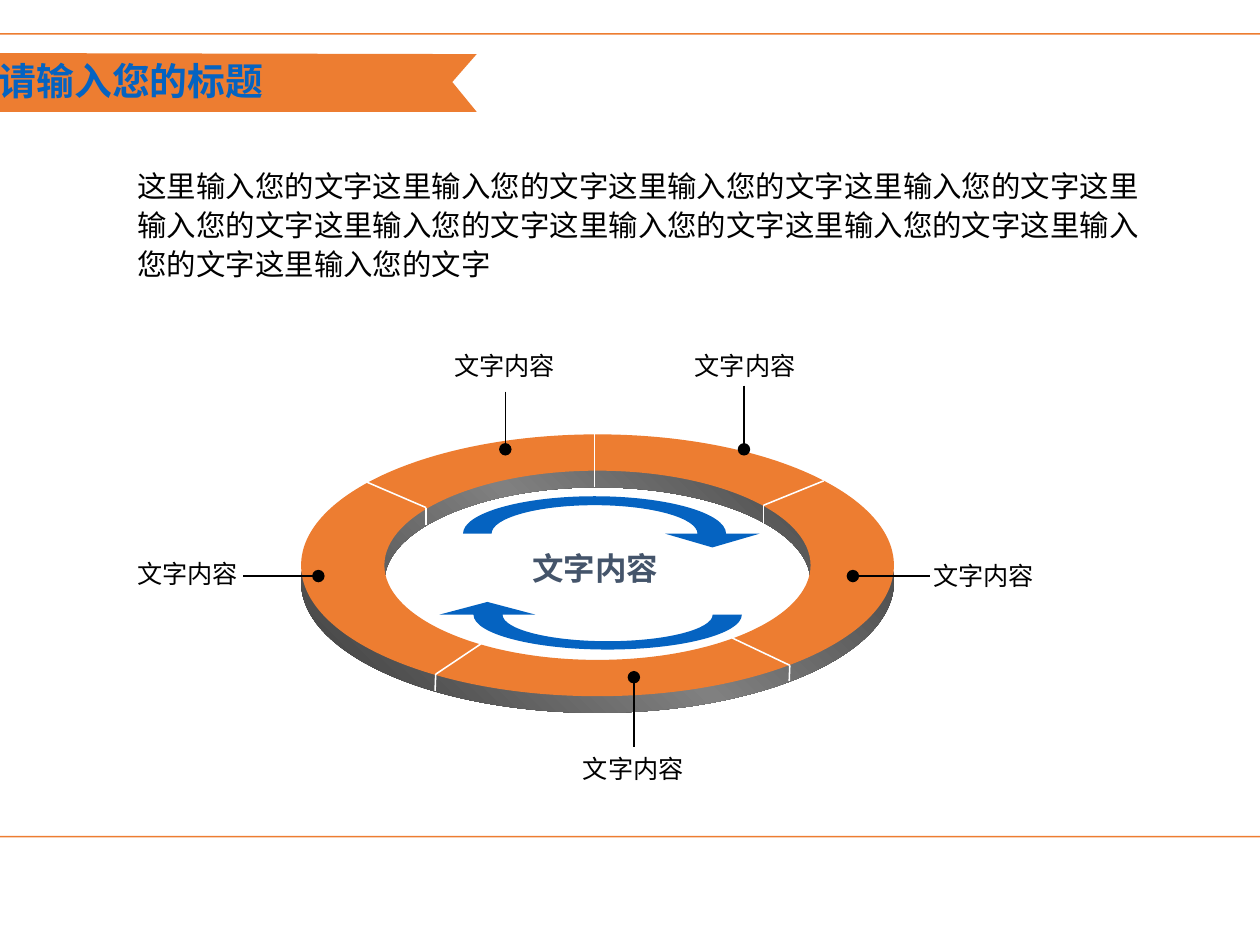
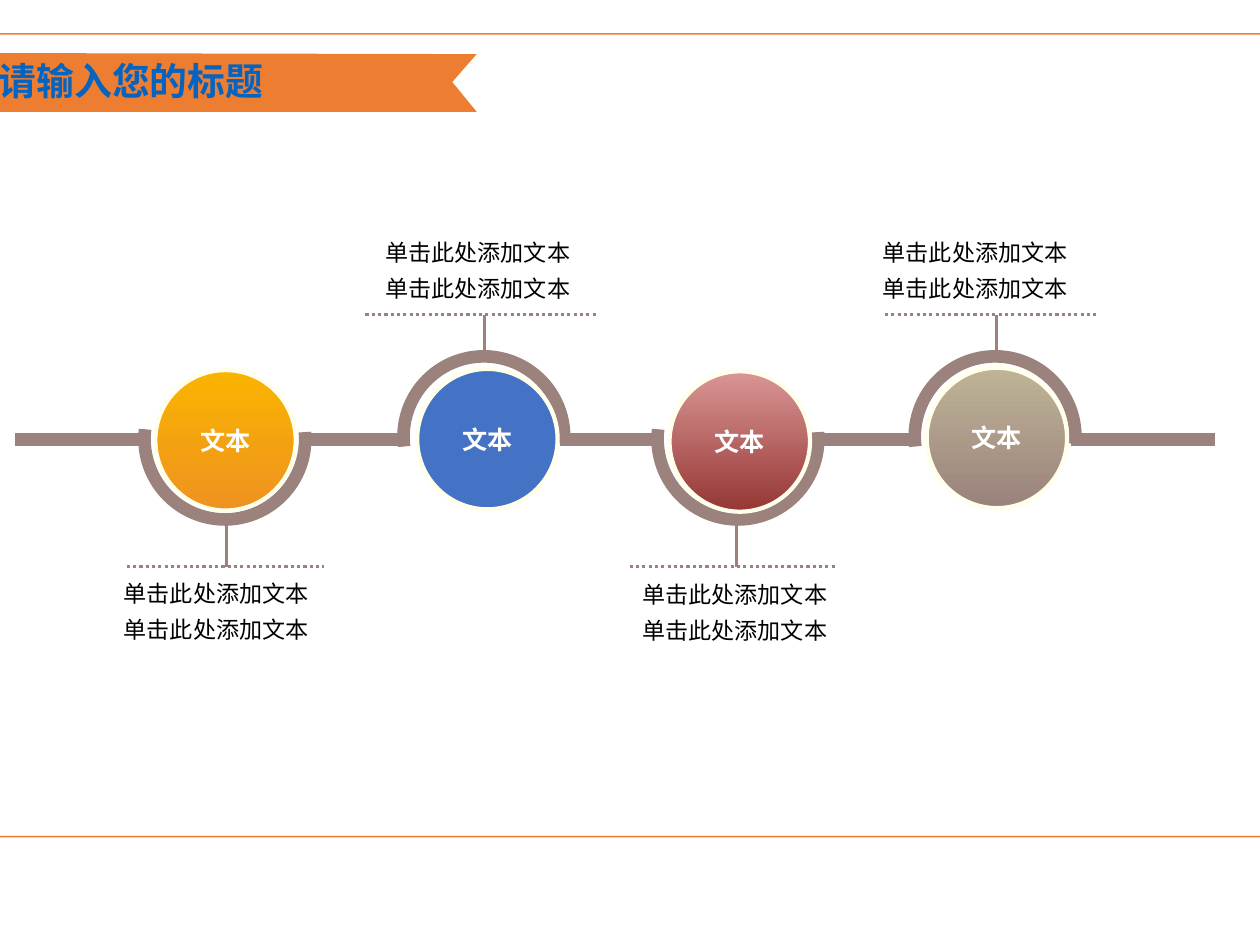
import math
from copy import deepcopy
from itertools import pairwise
from lxml import etree
from pptx import Presentation
from pptx.dml.color import RGBColor
from pptx.enum import dml, shapes, text
from pptx.oxml.ns import qn
from pptx.util import Cm, Pt

SANS = "Noto Sans CJK SC"
ORANGE, BLUE, TAUPE, WHITE, BLACK = "ED7D31", "0563C1", "9B827D", "FFFFFF", "000000"
LEFT, MID, RIGHT = text.PP_ALIGN.LEFT, text.PP_ALIGN.CENTER, text.PP_ALIGN.RIGHT

TITLE = "请输入您的标题"
BODY = "这里输入您的文字" * 10
LABEL = "文字内容"
NOTE = ["单击此处添加文本"] * 2
DISC = "文本"

RIBBON = [(-1.24, 1.88), (8.01, 1.88), (7.6, 1.38), (8.01, 0.91), (-1.22, 0.89)]
STEEL = ["3B3B3B", "808080", "3B3B3B"]
RINGS = [(9.78, STEEL), (9.5, ORANGE)]
SEAMS = [
    [(9.99, 7.27), (9.99, 8.19)],
    [(6.16, 8.1), (7.16, 8.53), (7.16, 8.82)],
    [(13.84, 8.08), (12.83, 8.49), (12.83, 8.82)],
    [(8.08, 10.82), (7.32, 11.33), (7.31, 11.61)],
    [(12.3, 10.72), (13.27, 11.18), (13.26, 11.44)],
]
CALLS = [
    ((8.49, 6.58), (8.49, 7.55), (6.64, 5.78), MID),
    ((12.5, 6.48), (12.5, 7.55), (10.68, 5.78), MID),
    ((10.65, 12.55), (10.65, 11.38), (8.8, 12.56), MID),
    ((15.62, 9.68), (14.33, 9.68), (15.48, 9.31), LEFT),
    ((4.09, 9.68), (5.35, 9.68), (0.52, 9.28), RIGHT),
]
SWEEPS = [((9.99, 8.97), 1, 1), ((10.21, 10.33), -1.02, -0.93)]

STEPS = [
    dict(up=False, arc=3.78, stem=3.81, disc=(3.79, 7.4), rule=(2.13, 5.44),
         note=(1.88, 9.5), fill=["FAB400", "EE9320"]),
    dict(up=True, arc=8.13, stem=8.14, disc=(8.19, 7.38), rule=(6.14, 10.02),
         note=(6.27, 3.76), fill="4472C4"),
    dict(up=False, arc=12.4, stem=12.37, disc=(12.43, 7.42), rule=(10.58, 14.07),
         note=(10.59, 9.51), fill=["D99694", "953735"]),
    dict(up=True, arc=16.72, stem=16.74, disc=(16.75, 7.36), rule=(14.87, 18.44),
         note=(14.63, 3.76), fill=["BEB496", TAUPE]),
]
AXIS = 7.39


def color(code):
    return RGBColor.from_string(code)


def paint(item, fill=None, line=None, width=0.75, angle=270):
    item.shadow.inherit = False
    if isinstance(fill, list):
        item.fill.gradient()
        item.fill.gradient_angle = angle
        stops = item.element.spPr.find(".//" + qn("a:gsLst"))
        for _ in fill[2:]:
            stops.append(deepcopy(stops[-1]))
        for i, (stop, code) in enumerate(zip(item.fill.gradient_stops, fill)):
            stop.color.rgb = color(code)
            stop.position = i / (len(fill) - 1)
    elif fill:
        item.fill.solid()
        item.fill.fore_color.rgb = color(fill)
    else:
        item.fill.background()
    if line:
        item.line.color.rgb = color(line)
        item.line.width = Pt(width)
    else:
        item.line.fill.background()
    return item


def shape(slide, kind, box, **style):
    return paint(slide.shapes.add_shape(kind, *map(Cm, box)), **style)


def is_bend(part):
    return isinstance(part[0], tuple)


def outline(slide, rings, **style):
    pen = None
    for ring in rings:
        flat = [p for part in ring for p in (part if is_bend(part) else [part])]
        pts = [(Cm(x), Cm(y)) for x, y in flat]
        if pen is None:
            pen = slide.shapes.build_freeform(*pts[0], scale=1.0)
        else:
            pen.move_to(*pts[0])
        pen.add_line_segments(pts[1:], close=True)
    item = pen.convert_to_shape()
    legs = iter(list(item.element.iter(qn("a:lnTo"))))
    for part in (p for ring in rings for p in ring[1:]):
        leg = next(legs)
        if is_bend(part):
            leg.addprevious(cubic := etree.Element(qn("a:cubicBezTo")))
            for old in (leg, next(legs), next(legs)):
                cubic.append(old[0])
                old.getparent().remove(old)
    return paint(item, **style)


def bend(mid, rx, ry, *turns):
    def spot(c, s):
        return mid[0] + rx * c, mid[1] + ry * s

    angles = [math.radians(t) for t in turns]
    parts = [spot(math.cos(angles[0]), math.sin(angles[0]))]
    for a, b in pairwise(angles):
        k = 4 / 3 * math.tan((b - a) / 4)
        ca, sa, cb, sb = math.cos(a), math.sin(a), math.cos(b), math.sin(b)
        parts.append((spot(ca - k * sa, sa + k * ca),
                      spot(cb + k * sb, sb - k * cb), spot(cb, sb)))
    return parts


def line(slide, start, end, code, width=0.75, dash=None, dot=False):
    item = slide.shapes.add_connector(
        shapes.MSO_CONNECTOR.STRAIGHT, *map(Cm, (*start, *end)))
    item.line.color.rgb = color(code)
    item.line.width = Pt(width)
    if dash:
        item.line.dash_style = dash
    props = item.element.spPr
    if dot:
        etree.SubElement(props.find(qn("a:ln")), qn("a:tailEnd"), type="oval")
    etree.SubElement(props, qn("a:effectLst"))


def write(item, rows, size=12, code=BLACK, bold=False, align=LEFT,
          space=1.0, font=SANS, anchor=text.MSO_ANCHOR.TOP):
    frame = item.text_frame
    frame.word_wrap = True
    frame.auto_size = text.MSO_AUTO_SIZE.NONE
    frame.vertical_anchor = anchor
    frame.margin_left = frame.margin_right = Cm(0.2)
    frame.margin_top = frame.margin_bottom = Cm(0.1)
    for i, row in enumerate(rows):
        para = frame.add_paragraph() if i else frame.paragraphs[0]
        para.alignment, para.line_spacing = align, space
        run = para.add_run()
        run.text = row
        run.font.size, run.font.bold, run.font.name = Pt(size), bold, font
        run.font.color.rgb = color(code)
    for props in item.element.iter(qn("a:rPr")):
        etree.SubElement(props, qn("a:ea"), typeface=font)


def label(slide, rows, box, **style):
    write(slide.shapes.add_textbox(*map(Cm, box)), rows, **style)


def base(deck):
    slide = deck.slides.add_slide(deck.slide_layouts[5])
    frame = shape(slide, shapes.MSO_SHAPE.ROUNDED_RECTANGLE,
                  (-0.71, 0.57, 22.71, 13.49), fill=WHITE, line=ORANGE)
    frame.adjustments[0] = 0.027
    outline(slide, [RIBBON], fill=ORANGE)
    title = slide.shapes.title
    title.element.getparent().append(title.element)
    title.left, title.top, title.width, title.height = map(Cm, (-0.22, 0.87, 6.83, 0.97))
    write(title, [TITLE], size=18, code=BLUE, bold=True, font="Arial")
    return slide


def cycle(deck):
    slide = base(deck)
    for y, fill in RINGS:
        mid = (10.04, y)
        outline(slide, [bend(mid, 4.98, 2.2, 180, 270, 360, 450, 540),
                        bend(mid, 3.58, 1.59, 180, 90, 0, -90, -180)],
                fill=fill, angle=45)
    for seam in SEAMS:
        for start, end in pairwise(seam):
            line(slide, start, end, WHITE)
    for start, end, spot, align in CALLS:
        line(slide, start, end, BLACK, dot=True)
        label(slide, [LABEL], (*spot, 3.68, 0.71), align=align)
    label(slide, [LABEL], (8.08, 9.13, 3.84, 0.84), size=15, code="44546A",
          bold=True, align=MID)
    head = [(2.77, 0), (1.98, 0.23), (1.19, 0)]
    for mid, sx, sy in SWEEPS:
        x, y = mid
        outline(slide, [[*bend(mid, 2.21 * sx, 0.63 * sy, 180, 270, 360),
                         *((x + dx * sx, y + dy * sy) for dx, dy in head),
                         *bend(mid, 1.73 * sx, 0.48 * sy, 360, 270, 180)]], fill=BLUE)
    label(slide, [BODY], (2.11, 2.67, 17.6, 2.84), size=14, space=1.1)


def chain(deck):
    slide = base(deck)
    starts = [0.25] + [s["arc"] + 1.28 for s in STEPS]
    ends = [s["arc"] - 1.24 for s in STEPS] + [20.42]
    for start, end in zip(starts, ends):
        line(slide, (start, AXIS), (end, AXIS), TAUPE, 6)
    for step in STEPS:
        up, stem = step["up"], step["stem"]
        far, near = (5.29, 6.05) if up else (9.52, 8.76)
        line(slide, (stem, near), (stem, far), TAUPE, 1.5)
        left, right = step["rule"]
        line(slide, (left, far), (right, far), TAUPE, 1.5, dash=dml.MSO_LINE.ROUND_DOT)
        label(slide, NOTE, (*step["note"], 4, 1.35), size=11, space=1.3)
        top = AXIS - (1.4 if up else 1.36)
        arc = shape(slide, shapes.MSO_SHAPE.ARC,
                    (step["arc"] - 1.35, top, 2.7, 2.7), line=TAUPE, width=6)
        for i, turn in enumerate((173, 5) if up else (355, 187)):
            arc.adjustments[i] = turn * 0.6
    for step in STEPS:
        x, y = step["disc"]
        disc = shape(slide, shapes.MSO_SHAPE.OVAL, (x - 1.18, y - 1.18, 2.36, 2.36),
                     fill=step["fill"], line="FFFFEB", width=2)
        write(disc, [DISC], code=WHITE, bold=True, align=MID,
              anchor=text.MSO_ANCHOR.MIDDLE)


def main():
    deck = Presentation()
    deck.slide_width, deck.slide_height = Cm(21.17), Cm(15.88)
    cycle(deck)
    chain(deck)
    deck.save("out.pptx")


if __name__ == "__main__":
    main()
